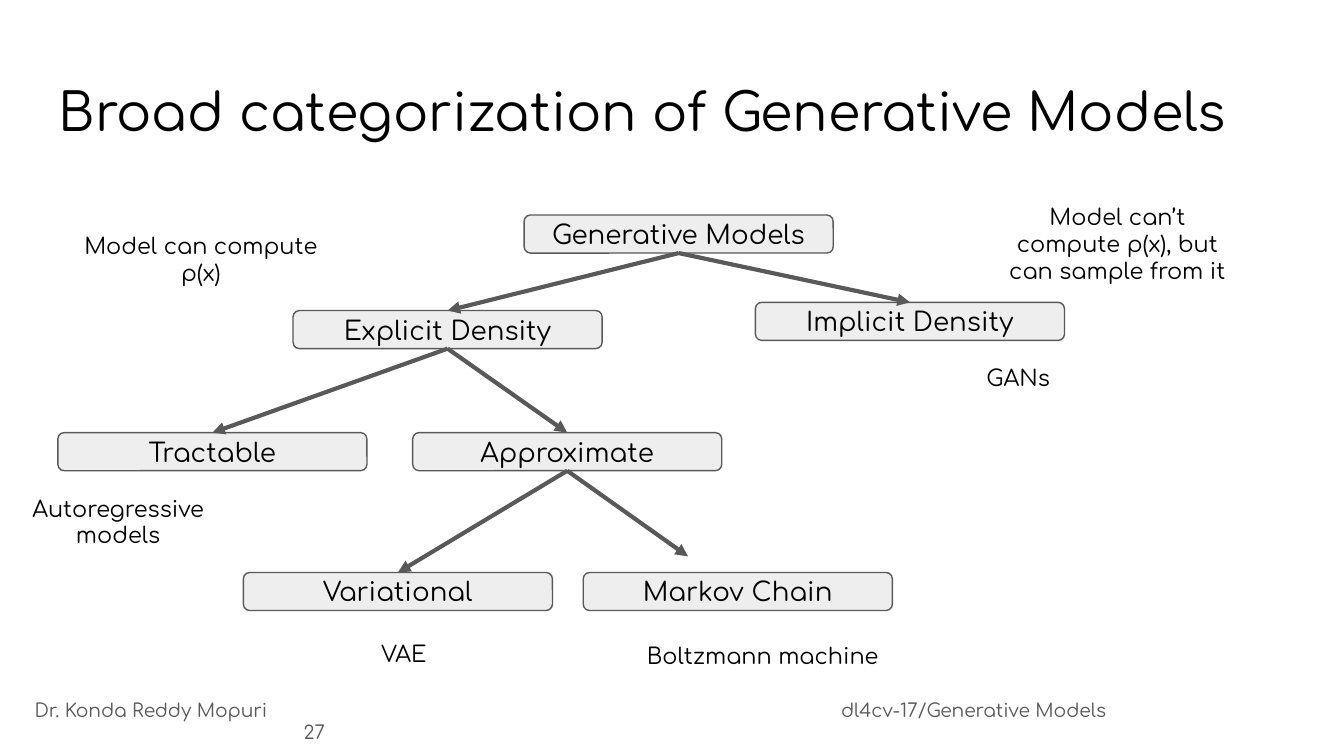
import pptx
import pptx.util
import pptx.dml.color
import pptx.enum.shapes
import pptx.enum.text
import pptx.oxml.ns
from lxml import etree

Pt = pptx.util.Pt
FONT = "Comfortaa"
HUES = {"ink": "000000", "grey": "595959", "fill": "EEEEEE"}
ALIGN = pptx.enum.text.PP_ALIGN
ANCHOR = pptx.enum.text.MSO_ANCHOR

NODES = {
    "Generative Models": (249.8, 0),
    "Explicit Density": (126, 51.2),
    "Implicit Density": (373.7, 46.8),
    "Tractable": (0, 116.6),
    "Approximate": (190.1, 116.6),
    "Markov Chain": (281.5, 191.5),
    "Variational": (99.4, 191.5),
}
LINKS = [
    ("Generative Models", "Explicit Density"),
    ("Generative Models", "Implicit Density"),
    ("Explicit Density", "Tractable"),
    ("Explicit Density", "Approximate"),
    ("Approximate", "Variational"),
]
NOTES = [
    ("Boltzmann machine", 306, 221.8, 143.3, 28.8),
    ("VAE", 113.7, 220.3, 143.3, 28.8),
    ("Autoregressive models", -29.6, 142.6, 123.8, 43.9),
    ("GANs", 442.8, 72.7, 143.3, 28.8),
    ("Model can’t compute p(x), but can sample from it", 496, -13.7, 143.3, 58.3),
    ("Model can compute p(x)", 5, 2.2, 143.3, 43.9),
]


def color(name):
    """Return the named colour."""
    return pptx.dml.color.RGBColor.from_string(HUES[name])


def write(shape, text, size, hue="ink", align=ALIGN.LEFT, anchor=ANCHOR.TOP):
    """Put styled text into a shape."""
    frame = shape.text_frame
    frame.word_wrap = True
    frame.vertical_anchor = anchor
    frame.margin_left = frame.margin_right = Pt(7.2)
    frame.margin_top = frame.margin_bottom = Pt(7.2)
    frame.text = text
    for para in frame.paragraphs:
        para.alignment = align
        for run in para.runs:
            run.font.name = FONT
            run.font.size = Pt(size)
            run.font.color.rgb = color(hue)


def label(slide, box, text, size, **style):
    """Add a text box."""
    shape = slide.shapes.add_textbox(*map(Pt, box))
    write(shape, text, size, **style)
    return shape


def node(slide, box, text):
    """Add one rounded box of the tree."""
    kind = pptx.enum.shapes.MSO_SHAPE.ROUNDED_RECTANGLE
    shape = slide.shapes.add_shape(kind, *map(Pt, box))
    shape.shadow.inherit = False
    shape.fill.solid()
    shape.fill.fore_color.rgb = color("fill")
    shape.line.color.rgb = color("grey")
    shape.line.width = Pt(0.75)
    write(shape, text, 14, align=ALIGN.CENTER, anchor=ANCHOR.MIDDLE)
    return shape


def arrow(slide, start, end=None, tip=(0, 0)):
    """Draw an arrow from a node to another node or to a free tip."""
    kind = pptx.enum.shapes.MSO_CONNECTOR.STRAIGHT
    line = slide.shapes.add_connector(kind, 0, 0, *map(Pt, tip))
    line.begin_connect(start, 2)
    if end is not None:
        line.end_connect(end, 0)
    line.line.color.rgb = color("grey")
    line.line.width = Pt(2.25)
    qn = pptx.oxml.ns.qn
    etree.SubElement(line.line._get_or_add_ln(), qn("a:tailEnd"), type="triangle")
    etree.SubElement(line._element.spPr, qn("a:effectLst"))


def tree(slide, left, top):
    """Draw the tree of model types with its notes."""
    nodes = {
        text: node(slide, (left + x, top + y, 165.6, 20.4), text)
        for text, (x, y) in NODES.items()
    }
    for start, end in LINKS:
        arrow(slide, nodes[start], nodes[end])
    arrow(slide, nodes["Approximate"], tip=(left + 337.6, top + 182.9))
    for text, x, y, wide, high in NOTES:
        box = (left + x, top + y, wide, high)
        label(slide, box, text, 12, align=ALIGN.CENTER)


def footer(slide, box):
    """Write the author, the course and the page number."""
    text = "Dr. Konda Reddy Mopuri\tdl4cv-17/Generative Models\n\t27"
    shape = label(slide, box, text, 10, hue="grey", anchor=ANCHOR.MIDDLE)
    qn = pptx.oxml.ns.qn
    for para, stop in zip(shape.text_frame.paragraphs, (432, 144)):
        tabs = etree.SubElement(para._p.get_or_add_pPr(), qn("a:tabLst"))
        etree.SubElement(tabs, qn("a:tab"), pos=str(Pt(stop)), algn="l")


def main():
    """Build and save the slide."""
    deck = pptx.Presentation()
    deck.slide_width, deck.slide_height = Pt(720), Pt(405)
    slide = deck.slides.add_slide(deck.slide_layouts[6])
    title = "Broad categorization of Generative Models"
    label(slide, (24.5, 35.3, 671, 45.4), title, 28)
    tree(slide, 31, 115.2)
    footer(slide, (11.5, 373, 699, 26.6))
    deck.save("out.pptx")


if __name__ == "__main__":
    main()
